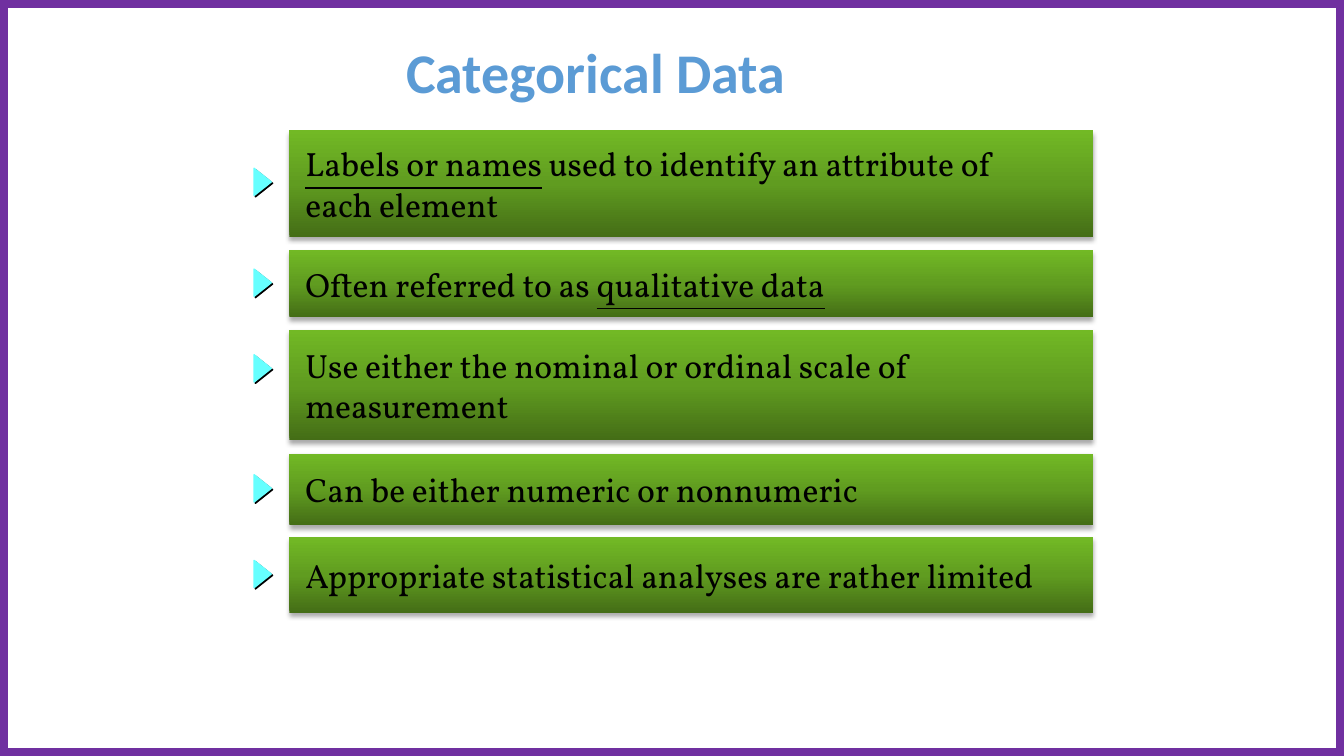
"""Build the Categorical Data slide: a title and five marked statement bars."""
from copy import deepcopy

from lxml import etree
from pptx import Presentation
from pptx.dml.color import RGBColor
from pptx.enum.shapes import MSO_SHAPE as Preset
from pptx.enum.text import MSO_ANCHOR as Anchor, PP_ALIGN as Align
from pptx.oxml.ns import qn
from pptx.util import Inches, Pt

COLORS = {
    "border": "7030A0",
    "title": "5B9BD5",
    "text": "000000",
    "bar_bottom": "446D16",
    "bar_middle": "609C20",
    "bar_top": "72B925",
    "marker": "66FFFF",
    "shadow": "000000",
}
BAR_LEFT, BAR_WIDTH = 2.87, 7.97
MARKER_LEFT, MARKER_WIDTH, MARKER_HEIGHT = 2.47, 0.27, 0.17
STATEMENTS = [
    (1.29, 1.06, 1.72, [[("Labels or names", True), (" used to identify an attribute of", False)],
                        [("each element", False)]]),
    (2.48, 0.67, 2.72, [[("Often referred to as ", False), ("qualitative data", True)]]),
    (3.27, 1.1, 3.57, [[("Use either the nominal or ordinal scale of", False)],
                       [("measurement", False)]]),
    (4.5, 0.71, 4.76, [[("Can be either numeric or nonnumeric", False)]]),
    (5.33, 0.75, 5.61, [[("Appropriate statistical analyses are rather limited", False)]]),
]


def color(name):
    return RGBColor.from_string(COLORS[name])


def cast_shadow(shape, opacity, blur, distance, angle):
    shape.shadow.inherit = False
    effects = shape._element.spPr.find(qn("a:effectLst"))
    shadow = etree.SubElement(effects, qn("a:outerShdw"), blurRad=str(Pt(blur)),
                              dist=str(Pt(distance)), dir=str(angle * 60000), rotWithShape="0")
    tint = etree.SubElement(shadow, qn("a:srgbClr"), val=COLORS["shadow"])
    etree.SubElement(tint, qn("a:alpha"), val=str(opacity * 1000))


deck = Presentation()
deck.slide_width, deck.slide_height = Inches(13.33), Inches(7.5)
page = deck.slides.add_slide(deck.slide_layouts[5])

border = page.shapes.add_shape(Preset.RECTANGLE, 0, 0, deck.slide_width, deck.slide_height)
border.shadow.inherit = False
border.fill.background()
border.line.color.rgb = color("border")
border.line.width = Pt(12)

title = page.shapes.title
title.left, title.top = Inches(1.16), Inches(0.18)
title.width, title.height = Inches(9.5), Inches(1.17)
title.text_frame.text = "Categorical Data"
title.text_frame.vertical_anchor = Anchor.MIDDLE
heading = title.text_frame.paragraphs[0]
heading.alignment = Align.CENTER
heading.line_spacing = 0.8
heading_font = heading.runs[0].font
heading_font.name, heading_font.size, heading_font.bold = "Calibri", Pt(40), True
heading_font.color.rgb = color("title")

for top, height, marker_top, lines in STATEMENTS:
    bar = page.shapes.add_shape(Preset.RECTANGLE, Inches(BAR_LEFT), Inches(top),
                                Inches(BAR_WIDTH), Inches(height))
    bar.line.fill.background()
    bar.fill.gradient()
    bar.fill.gradient_angle = 90
    stop_list = bar._element.spPr.find(qn("a:gradFill")).find(qn("a:gsLst"))
    stop_list.insert(1, deepcopy(stop_list[0]))
    shades = ("bar_bottom", "bar_middle", "bar_top")
    for stop, shade, position in zip(bar.fill.gradient_stops, shades, (0, 0.5, 1)):
        stop.color.rgb = color(shade)
        stop.position = position
    cast_shadow(bar, 32, 3.5, 2.2, 90)

    frame = bar.text_frame
    frame.word_wrap = True
    frame.vertical_anchor = Anchor.MIDDLE
    frame.margin_left = Inches(0.16)
    frame.text = "\n".join("" for line in lines)
    for para, line in zip(frame.paragraphs, lines):
        para.alignment = Align.LEFT
        for words, underlined in line:
            span = para.add_run()
            span.text = words
            span.font.name, span.font.size = "Vollkorn", Pt(24)
            span.font.underline = underlined
            span.font.color.rgb = color("text")

    marker = page.shapes.add_shape(Preset.ISOSCELES_TRIANGLE, Inches(MARKER_LEFT),
                                   Inches(marker_top), Inches(MARKER_WIDTH), Inches(MARKER_HEIGHT))
    marker.rotation = 90
    marker.fill.solid()
    marker.fill.fore_color.rgb = color("marker")
    marker.line.color.rgb = color("marker")
    marker.line.width = Pt(1)
    cast_shadow(marker, 100, 0, 1.4, 45)

deck.save("out.pptx")
